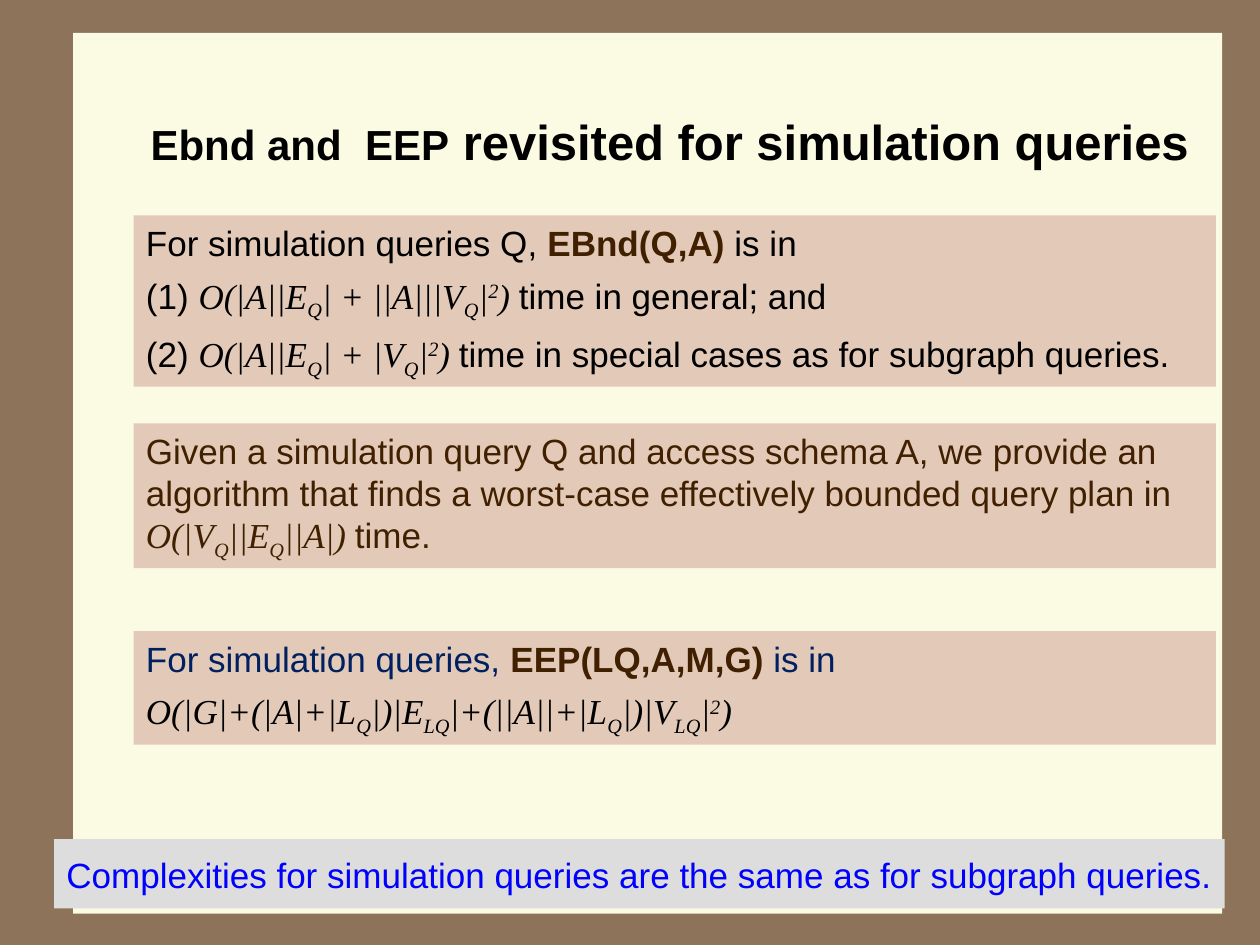
from pptx import Presentation
from pptx.dml.color import RGBColor
from pptx.enum.shapes import MSO_SHAPE
from pptx.enum.text import MSO_ANCHOR, MSO_AUTO_SIZE, PP_ALIGN
from pptx.util import Inches, Pt

RECTANGLE = MSO_SHAPE.RECTANGLE
TOP, MIDDLE = MSO_ANCHOR.TOP, MSO_ANCHOR.MIDDLE
LEFT, CENTER = PP_ALIGN.LEFT, PP_ALIGN.CENTER
NO_AUTOFIT = MSO_AUTO_SIZE.NONE

BACKDROP = RGBColor(0x8C, 0x73, 0x5A)
CREAM = RGBColor(0xFB, 0xFA, 0xE2)
ROSE = RGBColor(0xE3, 0xCA, 0xB8)
GREY = RGBColor(0xDD, 0xDD, 0xDD)
BLACK = RGBColor(0, 0, 0)
BROWN = RGBColor(0x40, 0x20, 0x00)
NAVY = RGBColor(0x00, 0x20, 0x60)
BLUE = RGBColor(0, 0, 0xFF)

SANS, SERIF = "Arial", "Times New Roman"
SLIDE_WIDTH, SLIDE_HEIGHT = Inches(10), Inches(7.5)
SUBSCRIPT, SUPERSCRIPT = -25000, 30000

CLAIM_LEFT, CLAIM_WIDTH = 10.6, 85.9
CLAIM_TOP, CLAIM_PITCH = 22.8, 22
CLAIMS = [
    (18.13, [
        [("For simulation queries Q, ", BLACK, "plain"),
         ("EBnd(Q,A) ", BROWN, "bold"),
         ("is in", BLACK, "plain")],
        [("(1) ", BLACK, "plain"),
         ("O(|A||E_Q_| + ||A|||V_Q_|^2^) ", BLACK, "formula"),
         ("time in general; and", BLACK, "plain")],
        [("(2) ", BLACK, "plain"),
         ("O(|A||E_Q_| + |V_Q_|^2^) ", BLACK, "formula"),
         ("time in special cases as for subgraph queries.", BLACK, "plain")],
    ]),
    (15.33, [
        [("Given a simulation query Q and access schema A, we provide an "
          "algorithm that finds a worst-case effectively bounded query plan in ",
          BROWN, "plain"),
         ("O(|V_Q_||E_Q_||A|) ", BROWN, "formula"),
         ("time.", BROWN, "plain")],
    ]),
    (12, [
        [("For simulation queries, ", NAVY, "plain"),
         ("EEP(LQ,A,M,G)", BROWN, "bold"),
         (" is in", NAVY, "plain")],
        [("O(|G|+(|A|+|L_Q_|)|E_LQ_|+(||A||+|L_Q_|)|V_LQ_|^2^)",
          BLACK, "formula")],
    ]),
]


def share_box(left, top, width, height):
    return (round(SLIDE_WIDTH * left / 100), round(SLIDE_HEIGHT * top / 100),
            round(SLIDE_WIDTH * width / 100), round(SLIDE_HEIGHT * height / 100))


def add_text(paragraph, text, size=20, font=SANS, color=BLACK,
             bold=False, italic=False, baseline=0):
    run = paragraph.add_run()
    run.text = text
    run.font.size, run.font.name = Pt(size), font
    run.font.color.rgb = color
    run.font.bold, run.font.italic = bold, italic
    if baseline:
        run.font._element.set("baseline", str(baseline))


def add_formula(paragraph, formula, color):
    for i, section in enumerate(formula.split("_")):
        for j, term in enumerate(section.split("^")):
            baseline = SUBSCRIPT if i % 2 else SUPERSCRIPT if j % 2 else 0
            add_text(paragraph, term, font=SERIF, color=color,
                     italic=True, baseline=baseline)


def add_panel(slide, box, fill):
    panel = slide.shapes.add_shape(RECTANGLE, *box)
    panel.shadow.inherit = False
    panel.fill.solid()
    panel.fill.fore_color.rgb = fill
    panel.line.fill.background()
    panel.text_frame.word_wrap = True
    panel.text_frame.vertical_anchor = TOP
    return panel


def add_background(slide, box):
    slide.background.fill.solid()
    slide.background.fill.fore_color.rgb = BACKDROP
    page = add_panel(slide, box, CREAM)
    slide.shapes._spTree.insert(2, page._element)


def add_title(slide, box):
    title = slide.shapes.title
    title.left, title.top, title.width, title.height = box
    title.text_frame.auto_size = NO_AUTOFIT
    title.text_frame.vertical_anchor = MIDDLE
    heading = title.text_frame.paragraphs[0]
    heading.alignment = CENTER
    add_text(heading, "Ebnd and  EEP", size=24, bold=True)
    add_text(heading, " revisited for simulation queries", size=28, bold=True)


def add_claim(slide, box, lines):
    frame = add_panel(slide, box, ROSE).text_frame
    for number, line in enumerate(lines):
        paragraph = frame.add_paragraph() if number else frame.paragraphs[0]
        paragraph.alignment = LEFT
        paragraph.space_before = Pt(6 if number else 0)
        for text, color, style in line:
            if style == "formula":
                add_formula(paragraph, text, color)
            else:
                add_text(paragraph, text, color=color, bold=style == "bold")


def add_conclusion(slide, box):
    frame = add_panel(slide, box, GREY).text_frame
    frame.word_wrap = False
    conclusion = frame.paragraphs[0]
    conclusion.alignment = CENTER
    conclusion.line_spacing = 1.2
    add_text(conclusion, "Complexities for simulation queries are the same "
             "as for subgraph queries.", color=BLUE)


def main():
    deck = Presentation()
    deck.slide_width, deck.slide_height = SLIDE_WIDTH, SLIDE_HEIGHT
    slide = deck.slides.add_slide(deck.slide_layouts.get_by_name("Title Only"))
    add_background(slide, share_box(5.8, 3.47, 91.2, 93.2))
    add_title(slide, share_box(9.8, 9.07, 86.7, 11.6))
    for row, (height, lines) in enumerate(CLAIMS):
        top = CLAIM_TOP + row * CLAIM_PITCH
        add_claim(slide, share_box(CLAIM_LEFT, top, CLAIM_WIDTH, height), lines)
    add_conclusion(slide, share_box(4.3, 88.8, 92.9, 7.33))
    deck.save("out.pptx")


if __name__ == "__main__":
    main()
